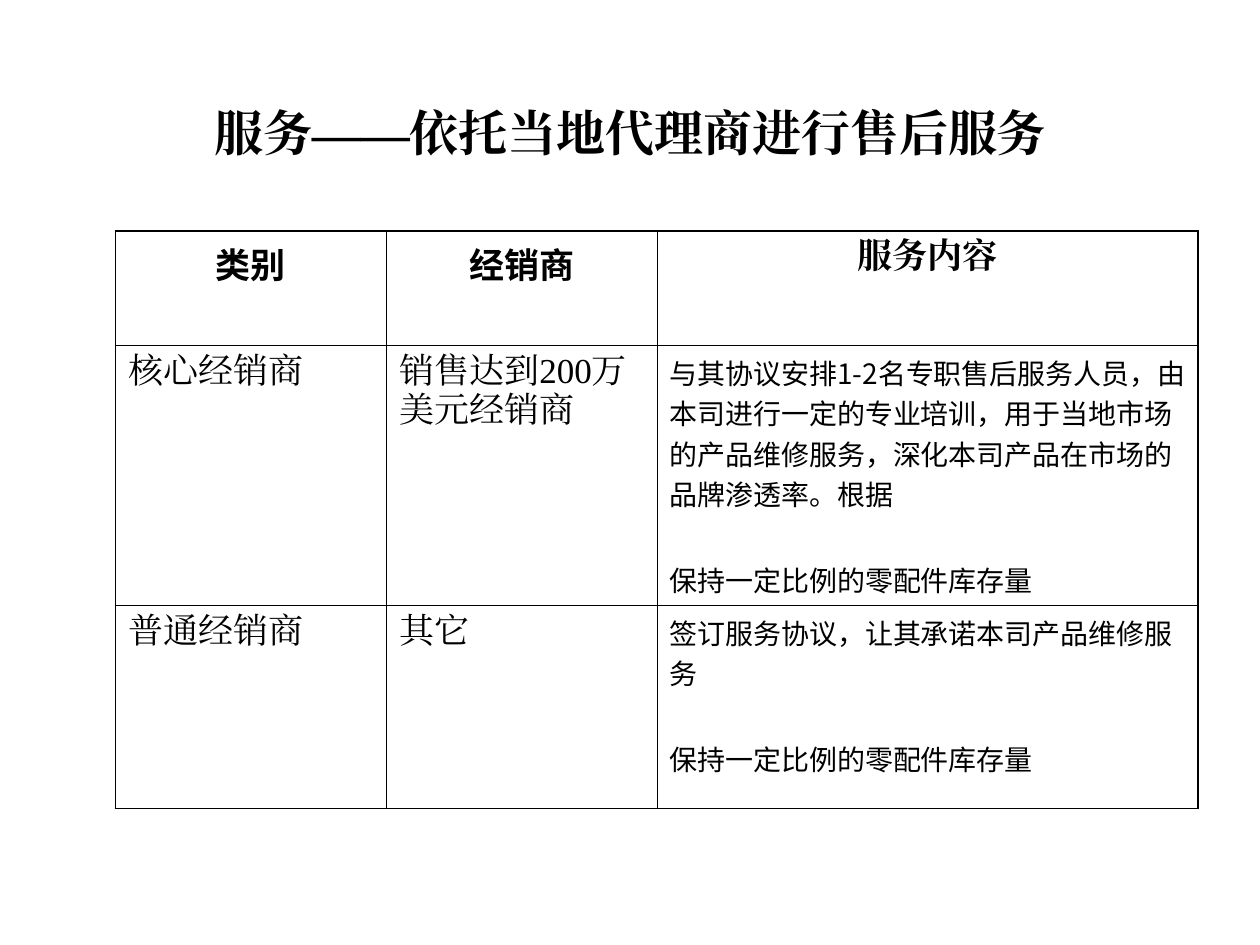
"""Build a slide with a table of after-sales service terms by dealer class."""
from dataclasses import dataclass

from lxml import etree
from pptx import Presentation
from pptx.dml.color import RGBColor
from pptx.enum.text import MSO_ANCHOR, PP_ALIGN
from pptx.oxml.ns import qn
from pptx.util import Cm, Pt

BLACK = RGBColor(0, 0, 0)
CENTER, LEFT = PP_ALIGN.CENTER, PP_ALIGN.LEFT
MIDDLE = MSO_ANCHOR.MIDDLE
SERIF, SANS = "Times New Roman", "Noto Sans CJK SC"
THIN, THICK = Pt(0.45), Pt(1.08)
COL_WIDTHS = (Cm(5.46), Cm(5.46), Cm(10.9))
ROW_HEIGHTS = (Cm(2.31), Cm(4.9), Cm(4.09))


@dataclass
class Entry:
    lines: tuple[str, ...]
    size: int = 20
    font: str = SERIF
    bold: bool = False
    align: int = LEFT


def header(text: str, font: str = SANS) -> Entry:
    return Entry((text,), font=font, bold=True, align=CENTER)


def details(*lines: str) -> Entry:
    return Entry(lines, size=16, font=SANS)


STOCK = "保持一定比例的零配件库存量"
ROWS = (
    (header("类别"), header("经销商"), header("服务内容", SERIF)),
    (
        Entry(("核心经销商",)),
        Entry(("销售达到200万美元经销商",)),
        details(
            "与其协议安排1-2名专职售后服务人员，由本司进行一定的专业培训，"
            "用于当地市场的产品维修服务，深化本司产品在市场的品牌渗透率。根据",
            STOCK,
        ),
    ),
    (
        Entry(("普通经销商",)),
        Entry(("其它",)),
        details("签订服务协议，让其承诺本司产品维修服务", STOCK),
    ),
)


def write(tf, entry: Entry) -> None:
    for i, line in enumerate(entry.lines):
        p = tf.add_paragraph() if i else tf.paragraphs[0]
        p.text = line
        p.alignment = entry.align
        p.space_before = Pt(26 if i else 0)
        p.font.size = Pt(entry.size)
        p.font.bold = entry.bold
        p.font.color.rgb = BLACK
        p.font.name = entry.font
        props = p._p.pPr.find(qn("a:defRPr"))
        etree.SubElement(props, qn("a:ea"), typeface=entry.font)


def set_borders(cell, widths: dict[str, int]) -> None:
    tc_pr = cell._tc.get_or_add_tcPr()
    for side, width in widths.items():
        ln = etree.SubElement(tc_pr, qn(f"a:ln{side}"), w=str(int(width)))
        fill = etree.SubElement(ln, qn("a:solidFill"))
        etree.SubElement(fill, qn("a:srgbClr"), val=str(BLACK))


def add_title(s, text: str) -> None:
    sp = s.shapes.title
    sp.left, sp.top, sp.width, sp.height = Cm(1.9), Cm(1.07), Cm(21.6), Cm(3.18)
    sp.text_frame.vertical_anchor = MIDDLE
    write(sp.text_frame, Entry((text,), size=28, bold=True, align=CENTER))


def add_service_table(s) -> None:
    n_rows, n_cols = len(ROWS), len(COL_WIDTHS)
    table = s.shapes.add_table(
        n_rows, n_cols, Cm(2.33), Cm(4.66), sum(COL_WIDTHS), sum(ROW_HEIGHTS)
    ).table
    table.first_row = table.horz_banding = False
    for col, width in zip(table.columns, COL_WIDTHS):
        col.width = width
    for row, height in zip(table.rows, ROW_HEIGHTS):
        row.height = height
    for i, entries in enumerate(ROWS):
        for j, entry in enumerate(entries):
            cell = table.cell(i, j)
            write(cell.text_frame, entry)
            set_borders(cell, {
                "L": THICK if j == 0 else THIN,
                "R": THICK if j == n_cols - 1 else THIN,
                "T": THICK if i == 0 else THIN,
                "B": THICK if i == n_rows - 1 else THIN,
            })
            cell.fill.background()


def main() -> None:
    prs = Presentation()
    prs.slide_width, prs.slide_height = Cm(25.4), Cm(19.05)
    s = prs.slides.add_slide(prs.slide_layouts.get_by_name("Title Only"))
    add_title(s, "服务——依托当地代理商进行售后服务")
    add_service_table(s)
    prs.save("out.pptx")


if __name__ == "__main__":
    main()
